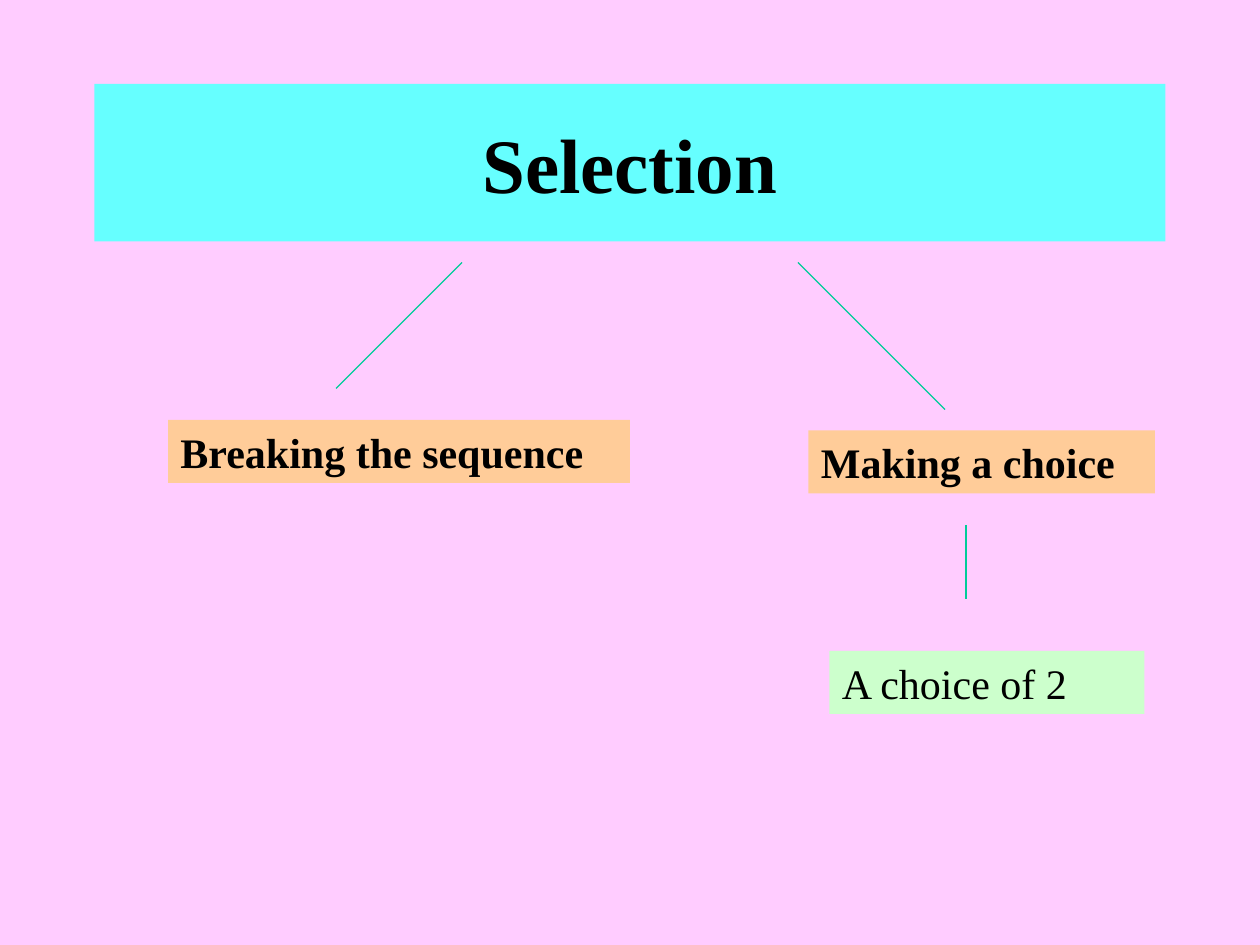
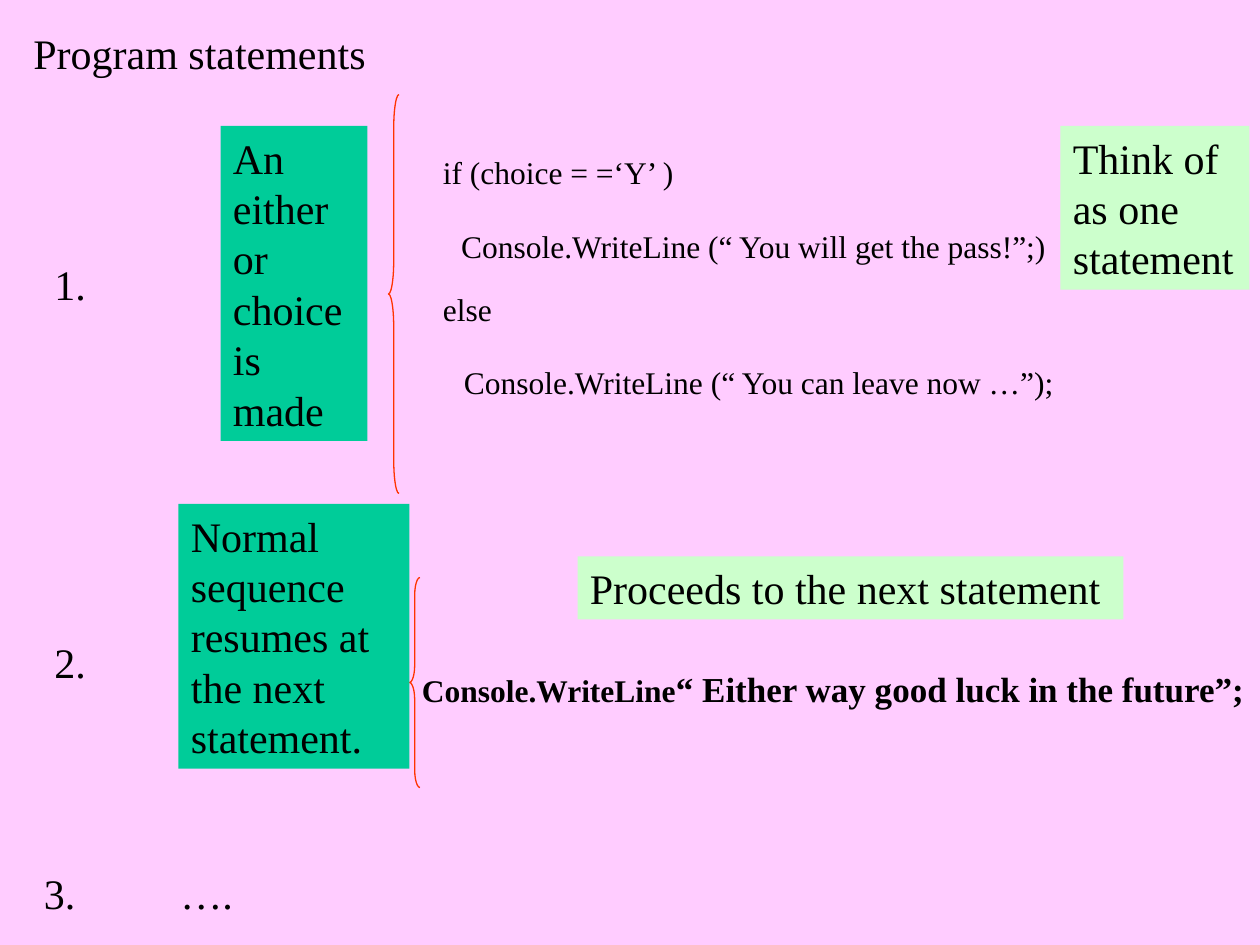
import pptx
import pptx.dml.color
import pptx.enum.shapes
import pptx.enum.text
import pptx.oxml
import pptx.util

COLORS = {
    "background": "FFCCFF",
    "title": "66FFFF",
    "branch": "FFCC99",
    "note": "CCFFCC",
    "explanation": "00CC99",
    "brace": "FF3300",
    "text": "000000",
}
SHAPES = pptx.enum.shapes.MSO_SHAPE
ANCHOR = pptx.enum.text.MSO_ANCHOR
ALIGN = pptx.enum.text.PP_ALIGN
AUTO_SIZE = pptx.enum.text.MSO_AUTO_SIZE


def color(name):
    return pptx.dml.color.RGBColor.from_string(COLORS[name])


class Deck:
    """Style and current slide; lengths are cells of a 120 by 90 grid."""

    COLUMNS, ROWS = 120, 90
    FONT = "Times New Roman"
    BODY_SIZE, CODE_SIZE, TITLE_SIZE = 24, 18, 44
    LINE_WIDTH = pptx.util.Pt(0.75)

    def __init__(self):
        self.presentation = pptx.Presentation()
        self.presentation.slide_width = pptx.util.Inches(10)
        self.presentation.slide_height = pptx.util.Inches(7.5)
        self.slide = None

    def add_slide(self):
        self.slide = self.presentation.slides.add_slide(self.presentation.slide_layouts[6])
        fill = self.slide.background.fill
        fill.solid()
        fill.fore_color.rgb = color("background")

    def lengths(self, *cells):
        """Turn alternating columns and rows into slide lengths."""
        units = (self.presentation.slide_width / self.COLUMNS,
                 self.presentation.slide_height / self.ROWS)
        return [round(cell * units[index % 2]) for index, cell in enumerate(cells)]

    def fill_text(self, shape, text, size, bold):
        frame = shape.text_frame
        frame.word_wrap = True
        frame.auto_size = AUTO_SIZE.SHAPE_TO_FIT_TEXT
        frame.vertical_anchor = ANCHOR.TOP
        frame.text = text
        frame.paragraphs[0].alignment = ALIGN.LEFT
        self.format_run(frame.paragraphs[0].runs[0], size, bold)
        return frame

    def format_run(self, run, size, bold):
        run.font.name = self.FONT
        run.font.size = pptx.util.Pt(size)
        run.font.bold = bold
        run.font.color.rgb = color("text")

    def label(self, text, cells, size=BODY_SIZE, bold=False):
        shape = self.slide.shapes.add_textbox(*self.lengths(*cells))
        return self.fill_text(shape, text, size, bold)

    def box(self, text, cells, fill, size=BODY_SIZE, bold=False):
        shape = self.slide.shapes.add_shape(SHAPES.RECTANGLE, *self.lengths(*cells))
        shape.shadow.inherit = False
        shape.fill.solid()
        shape.fill.fore_color.rgb = color(fill)
        shape.line.fill.background()
        return self.fill_text(shape, text, size, bold)

    def title(self, text):
        frame = self.box(text, (9, 8, 102, 15), "title", self.TITLE_SIZE, bold=True)
        frame.auto_size = AUTO_SIZE.NONE
        frame.vertical_anchor = ANCHOR.MIDDLE
        frame.paragraphs[0].alignment = ALIGN.CENTER

    def line(self, start, end):
        connector = self.slide.shapes.add_connector(
            pptx.enum.shapes.MSO_CONNECTOR.STRAIGHT, *self.lengths(*start, *end))
        connector.line.color.rgb = color("explanation")
        connector.line.width = self.LINE_WIDTH
        properties = connector._element.spPr
        properties.append(pptx.oxml.parse_xml(
            f'<a:effectLst {pptx.oxml.ns.nsdecls("a")}/>'))

    def brace(self, left, top, height):
        shape = self.slide.shapes.add_shape(
            SHAPES.LEFT_BRACE, *self.lengths(left, top, 1, height))
        shape.shadow.inherit = False
        shape.fill.background()
        shape.line.color.rgb = color("brace")
        shape.line.width = self.LINE_WIDTH
        # Each curve takes a twelfth of the height, given in brace widths
        shape.adjustments[0] = height / 12


def build_selection(deck):
    deck.add_slide()
    deck.title("Selection")

    # Branches below the title
    deck.line((44, 25), (32, 37))
    deck.box("Breaking the sequence", (16, 40, 44, 6), "branch", bold=True)
    deck.line((76, 25), (90, 39))
    deck.box("Making a choice", (77, 41, 33, 6), "branch", bold=True)
    deck.line((92, 50), (92, 57))
    deck.box("A choice of 2", (79, 62, 30, 6), "note")


def build_statements(deck):
    deck.add_slide()

    # Closing statement in two sizes
    frame = deck.label("Console.WriteLine", (39, 63, 83, 5.25), deck.CODE_SIZE, bold=True)
    message = frame.paragraphs[0].add_run()
    message.text = "“ Either way good luck in the future”;"
    deck.format_run(message, 20, bold=True)

    # Explanations with their braces
    deck.brace(37, 9, 38)
    deck.box("An either or choice is made", (21, 12, 14, 30), "explanation")
    deck.brace(39, 55, 20)
    deck.box("Normal sequence resumes at the next statement.",
             (17, 48, 22, 25.2), "explanation")

    # Notes
    deck.box("Think of as one statement", (101, 12, 18, 15.6), "note")
    deck.box("Proceeds to the next statement", (55, 53, 52, 6), "note")

    # Heading and statement numbers
    for text, left, top, width in (
        ("Program statements", 2, 2, 41),
        ("1.", 4, 24, 9),
        ("2.", 4, 60, 7),
        ("3.", 3, 82, 9),
        ("….", 16, 82, 22),
    ):
        deck.label(text, (left, top, width, 6))

    # Code of the first statement
    for code, left, top, width in (
        ("if (choice = =‘Y’ )", 41, 14, 35.5),
        (" Console.WriteLine (“ You will get the pass!”;)", 42, 21, 61),
        ("else", 41, 27, 12.8),
        ("Console.WriteLine (“ You can leave now …”);", 43, 34, 65),
    ):
        deck.label(code, (left, top, width, 4.8), deck.CODE_SIZE)


def main():
    deck = Deck()
    build_selection(deck)
    build_statements(deck)
    deck.presentation.save("out.pptx")


if __name__ == "__main__":
    main()
